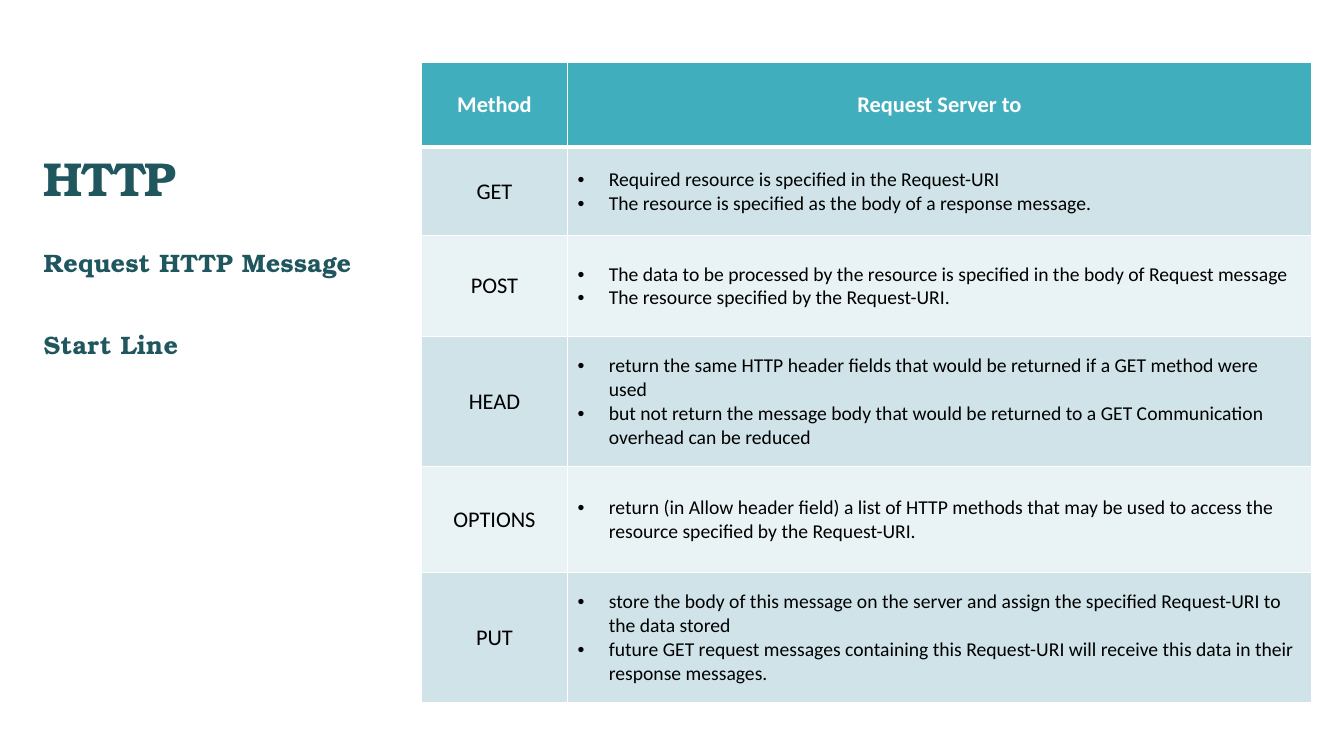
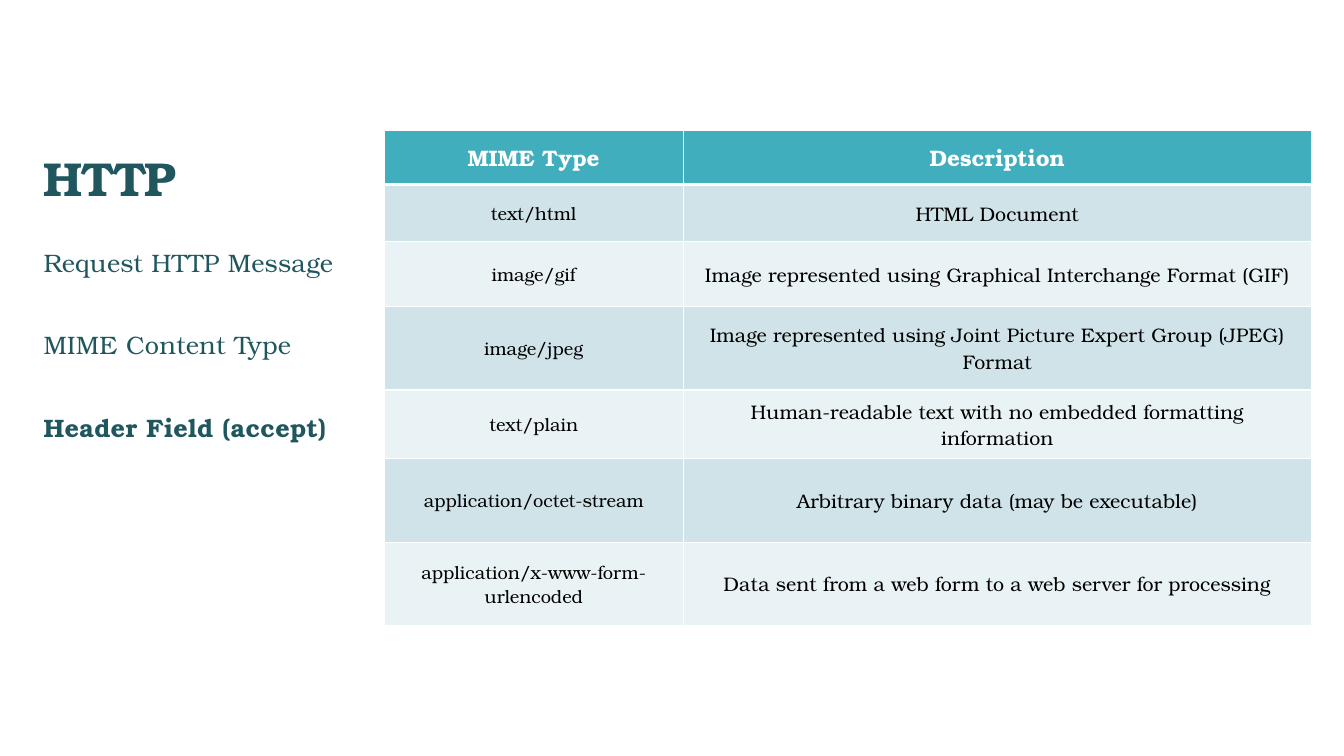
from lxml import etree
from pptx import Presentation
from pptx.dml.color import RGBColor
from pptx.enum.text import MSO_ANCHOR, MSO_AUTO_SIZE, PP_ALIGN
from pptx.oxml.ns import qn
from pptx.util import Inches, Pt

LEFT, CENTER = PP_ALIGN.LEFT, PP_ALIGN.CENTER
TOP, MIDDLE, BOTTOM = MSO_ANCHOR.TOP, MSO_ANCHOR.MIDDLE, MSO_ANCHOR.BOTTOM
NO_FIT = MSO_AUTO_SIZE.NONE
TITLE_AND_CONTENT = 1

COLORS = {"heading": "20575E", "header": "41AEBD", "band": "CFE3E8",
          "light": "E9F2F4", "line": "FFFFFF", "text": "000000"}
SERIF, SANS = "TeX Gyre Bonum", "Calibri"
BULLET_INDENT = Inches(0.31)

# Boxes are left, top, width and height in percent of the slide
TITLE_BOX = (2.5, 4.67, 25, 23.33)
TOPICS_BOX = (2.5, 32.53, 26.1, 55.6)

prs = Presentation()
prs.slide_width, prs.slide_height = Inches(13.33), Inches(7.5)


def place(box):
    sides = (prs.slide_width, prs.slide_height) * 2
    return [round(side * share / 100) for side, share in zip(sides, box)]


def rgb(name):
    return RGBColor.from_string(COLORS[name])


def write(p, text, color, spacing=None, **font):
    r = p.add_run()
    r.text = text
    for key, value in font.items():
        setattr(r.font, key, value)
    r.font.color.rgb = rgb(color)
    if spacing is not None:
        r.font.size = font["size"]
        r._r.get_or_add_rPr().set("spc", str(spacing))


def set_bullet(p, char=None):
    """Hang a bullet on the paragraph, or clear the inherited one."""
    pPr = p._p.get_or_add_pPr()
    indent = BULLET_INDENT if char else 0
    pPr.set("marL", str(indent))
    pPr.set("indent", str(-indent))
    if char:
        font = etree.SubElement(pPr, qn("a:buFont"))
        font.set("typeface", "Arial")
        etree.SubElement(pPr, qn("a:buChar")).set("char", char)
    else:
        etree.SubElement(pPr, qn("a:buNone"))


def fill_placeholder(sp, box, anchor, lines, gap, **font):
    """Write (text, bold) lines into a placeholder moved to the box."""
    sp.left, sp.top, sp.width, sp.height = place(box)
    tf = sp.text_frame
    tf.word_wrap, tf.auto_size, tf.vertical_anchor = True, NO_FIT, anchor
    for i, (text, bold) in enumerate(lines):
        p = tf.add_paragraph() if i else tf.paragraphs[0]
        p.alignment, p.line_spacing = LEFT, 0.9
        p.space_before = Pt(gap if i else 0)
        set_bullet(p)
        write(p, text, "heading", name=SERIF, bold=bold, **font)


def set_borders(cell, bottom):
    tcPr = cell._tc.get_or_add_tcPr()
    widths = {"a:lnL": 1, "a:lnR": 1, "a:lnT": 1, "a:lnB": bottom}
    for i, (tag, width) in enumerate(widths.items()):
        ln = etree.Element(qn(tag))
        ln.set("w", str(Pt(width)))
        fill = etree.SubElement(ln, qn("a:solidFill"))
        etree.SubElement(fill, qn("a:srgbClr")).set("val", COLORS["line"])
        tcPr.insert(i, ln)


def fill_cell(cell, content, fill, color, bottom, **font):
    """A string is centred; a list becomes bullets."""
    cell.fill.solid()
    cell.fill.fore_color.rgb = rgb(fill)
    cell.vertical_anchor = MIDDLE
    set_borders(cell, bottom)
    bulleted = isinstance(content, list)
    tf = cell.text_frame
    for i, text in enumerate(content if bulleted else [content]):
        p = tf.add_paragraph() if i else tf.paragraphs[0]
        p.alignment = LEFT if bulleted else CENTER
        if bulleted:
            set_bullet(p, "•")
        write(p, text, color, **font)


def add_grid(s, box, cols, heights, rows, font, sizes):
    """Table whose columns and rows share the box by weight."""
    left, top, width, height = place(box)
    table = s.shapes.add_table(len(rows), len(cols), left, top, width, height).table
    table.horz_banding = False
    for col, weight in zip(table.columns, cols):
        col.width = round(width * weight / sum(cols))
    for row, weight in zip(table.rows, heights):
        row.height = round(height * weight / sum(heights))
    for i, row in enumerate(rows):
        for j, content in enumerate(row):
            if i == 0:
                look = dict(fill="header", color="line", bottom=3, size=Pt(16), bold=True)
            else:
                look = dict(fill="band" if i % 2 else "light", color="text",
                            bottom=1, size=Pt(sizes[j]), bold=False)
            if i == 1:
                set_top = table.cell(0, j)._tc.tcPr.find(qn("a:lnB"))
                look["top_line"] = set_top.get("w")
                look.pop("top_line")
            fill_cell(table.cell(i, j), content, name=font, **look)
            if i == 1:
                table.cell(i, j)._tc.tcPr.find(qn("a:lnT")).set("w", str(Pt(3)))


def add_http_slide(topics, **grid):
    s = prs.slides.add_slide(prs.slide_layouts[TITLE_AND_CONTENT])
    fill_placeholder(s.shapes.title, TITLE_BOX, BOTTOM, [("HTTP", True)], 0,
                     size=Pt(34), spacing=-100)
    fill_placeholder(s.placeholders[1], TOPICS_BOX, TOP, topics, 39.3,
                     size=Pt(18), spacing=20)
    add_grid(s, **grid)


METHODS = [
    ("Method", "Request Server to"),
    ("GET", ["Required resource is specified in the Request-URI",
             "The resource is specified as the body of a response message."]),
    ("POST", ["The data to be processed by the resource is specified in the body of Request message",
              "The resource specified by the Request-URI."]),
    ("HEAD", ["return the same HTTP header fields that would be returned if a GET method were used",
              "but not return the message body that would be returned to a GET "
              "Communication overhead can be reduced"]),
    ("OPTIONS", ["return (in Allow header field) a list of HTTP methods that may be used to access "
                 "the resource specified by the Request-URI."]),
    ("PUT", ["store the body of this message on the server and assign the specified Request-URI to "
             "the data stored",
             "future GET request messages containing this Request-URI will receive this data in "
             "their response messages."]),
]

MIME_TYPES = [
    ("MIME Type", "Description"),
    ("text/html", "HTML Document"),
    ("image/gif", "Image represented using Graphical Interchange Format (GIF)"),
    ("image/jpeg", "Image represented using Joint Picture Expert Group (JPEG) Format"),
    ("text/plain", "Human-readable text with no embedded formatting information"),
    ("application/octet-stream", "Arbitrary binary data (may be executable)"),
    ("application/x-www-form-urlencoded",
     "Data sent from a web form to a web server for processing"),
]

add_http_slide([("Request HTTP Message", True), ("Start Line", True)],
               box=(31.35, 8.27, 66.24, 84.67), cols=(1.45, 7.38),
               heights=(0.84, 0.88, 1, 1.29, 1.05, 1.29),
               rows=METHODS, font=SANS, sizes=(16, 14))
add_http_slide([("Request HTTP Message", False), ("MIME Content Type", False),
                ("Header Field (accept)", True)],
               box=(28.57, 17.2, 69, 65.6), cols=(2.97, 6.23),
               heights=(0.54, 0.57, 0.64, 0.83, 0.68, 0.83, 0.83),
               rows=MIME_TYPES, font=SERIF, sizes=(13, 14))
prs.save("out.pptx")
